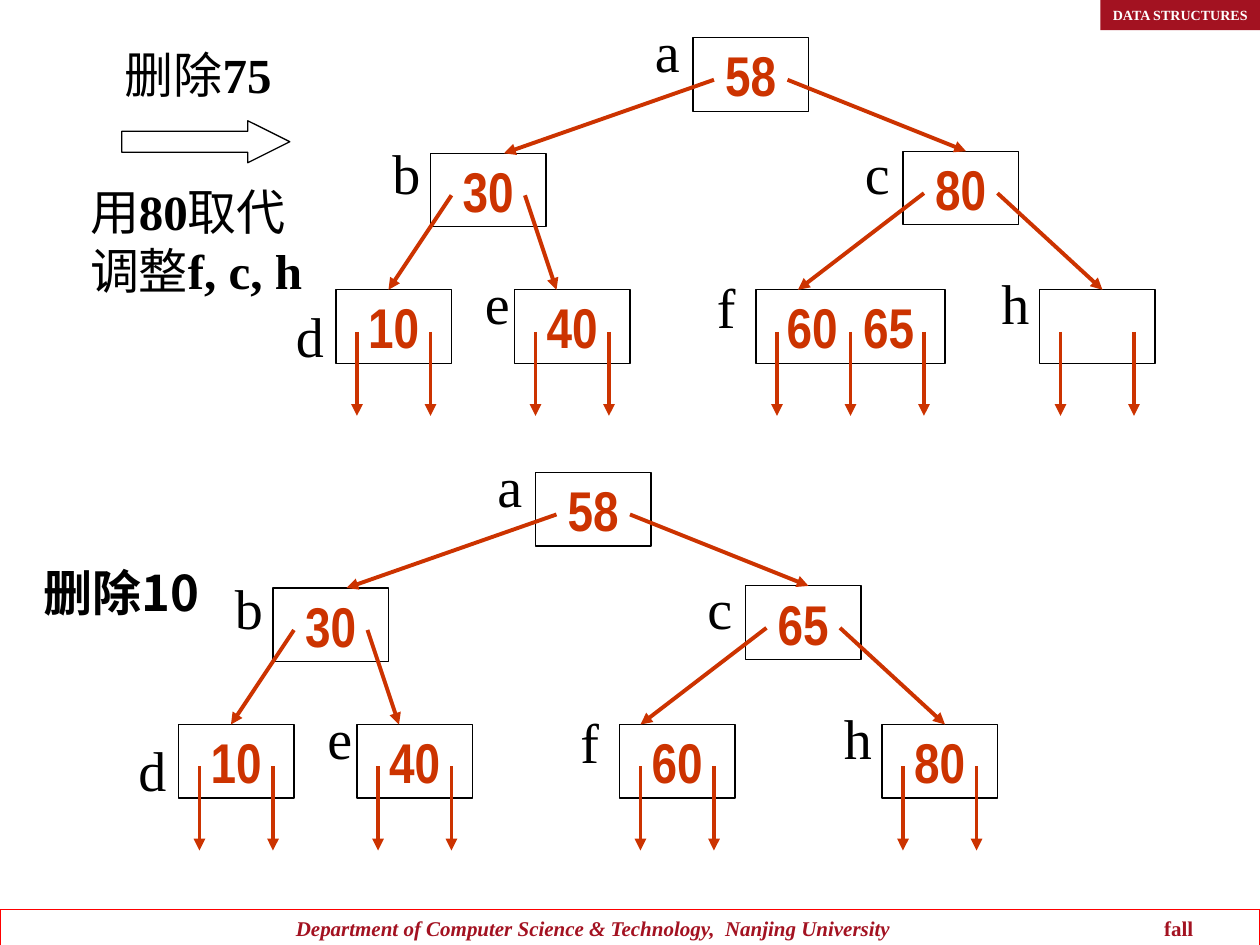
from lxml import etree
from pptx import Presentation
from pptx.dml.color import RGBColor
from pptx.enum.dml import MSO_LINE
from pptx.enum.shapes import MSO_CONNECTOR, MSO_SHAPE
from pptx.enum.text import MSO_ANCHOR, PP_ALIGN
from pptx.oxml.ns import qn
from pptx.util import Inches, Pt

RECT, BLOCK = MSO_SHAPE.RECTANGLE, MSO_SHAPE.RIGHT_ARROW
LINE, DOTS = MSO_CONNECTOR.STRAIGHT, MSO_LINE.ROUND_DOT
CENTER, LEFT = PP_ALIGN.CENTER, PP_ALIGN.LEFT
MIDDLE, TOP = MSO_ANCHOR.MIDDLE, MSO_ANCHOR.TOP

BLACK = RGBColor(0x00, 0x00, 0x00)
WHITE = RGBColor(0xFF, 0xFF, 0xFF)
RED = RGBColor(0xFF, 0x00, 0x00)
WINE = RGBColor(0xA3, 0x12, 0x21)
RUST = RGBColor(0xCC, 0x33, 0x00)
SERIF, NARROW, SANS = "Times New Roman", "Arial Narrow", "Noto Sans CJK SC"

deck = Presentation()
deck.slide_width, deck.slide_height = Inches(10), Inches(7.5)
slide = deck.slides.add_slide(deck.slide_layouts[6])
UNIT = deck.slide_width / 120  # the grid has 120 columns and 90 rows


def grid(*cells):
    return [round(cell * UNIT) for cell in cells]


def write(shape, rows, font, size, color, align=LEFT, anchor=TOP):
    """Fill a shape with rows of (text, bold, italic) runs."""
    frame = shape.text_frame
    frame.word_wrap, frame.vertical_anchor = False, anchor
    for i, row in enumerate(rows):
        para = frame.add_paragraph() if i else frame.paragraphs[0]
        para.alignment = align
        for text, bold, italic in row:
            run = para.add_run()
            run.text = text
            run.font.name, run.font.size = font, Pt(size)
            run.font.bold, run.font.italic = bold, italic
            run.font.color.rgb = color


# Footer and header bands
foot = slide.shapes.add_shape(RECT, *grid(0, 86.6, 120, 3.6))
foot.shadow.inherit = False
foot.fill.background()
foot.line.color.rgb, foot.line.width = RED, Pt(0.75)
write(foot, [[("\tDepartment of Computer Science & Technology,  Nanjing University", True, True),
              ("\tfall", True, False)]], SERIF, 12, WINE)
foot.text_frame.word_wrap = True
tabs = etree.SubElement(foot.text_frame.paragraphs[0]._p.get_or_add_pPr(), qn("a:tabLst"))
for stop in grid(27, 109.7):
    etree.SubElement(tabs, qn("a:tab"), pos=str(stop), algn="l")

head = slide.shapes.add_shape(RECT, *grid(104.8, 0, 15.2, 2.88))
head.shadow.inherit = False
head.fill.solid()
head.fill.fore_color.rgb = WINE
head.line.fill.background()
write(head, [[("DATA STRUCTURES", True, False)]], SERIF, 8, WHITE)

# Tree nodes: name -> left, top, label shift, column of the arrow from the parent
WIDE, HIGH = 11, 7
NODES = {
    "a": (66, 3.6, -4.8, -2.6, None),
    "b": (41, 14.6, -4.8, -2, 48),
    "c": (86, 14.4, -4.8, -1.8, 92),
    "d": (32, 27.6, -5, 0.5, 37),
    "e": (49, 27.6, -4, -2.6, 53),
    "f": (72, 27.6, -4.9, -2.2, 76),
    "h": (99, 27.6, -4.8, -2.6, 105),
}
KIDS = {"a": "bc", "b": "de", "c": "fh"}
TREES = [
    (0, 0, {"a": "58", "b": "30", "c": "80", "d": "10", "e": "40", "f": "60  65", "h": ""}),
    (-15, 41.4, {"a": "58", "b": "30", "c": "65", "d": "10", "e": "40", "f": "60", "h": "80"}),
]

groups = []
for dx, dy, keys in TREES:
    group = slide.shapes.add_group_shape().shapes
    groups.append(group)
    arrows = []
    for name, (x, y, lx, ly, tip) in NODES.items():
        count = max(1, len(keys[name].split()))
        wide = WIDE + 7 * (count - 1)
        if name == "f" and count == 1:
            x += 2
        x, y = x + dx, y + dy
        box = group.add_shape(RECT, *grid(x, y, wide, HIGH))
        box.shadow.inherit = False
        box.fill.background()
        box.line.color.rgb, box.line.width = BLACK, Pt(0.75)
        if keys[name]:
            write(box, [[(keys[name], True, False)]], NARROW, 32, RUST, CENTER, MIDDLE)
        label = group.add_textbox(*grid(x + lx, y + ly, 4.2 if name == "f" else 5, 7.7))
        write(label, [[(name, False, False)]], SERIF, 32, BLACK)
        for slot in range(count + 1):
            col, row = x + 2 + 7 * slot, y + 4
            if name in KIDS:
                kid = NODES[KIDS[name][slot]]
                arrows.append((col, row, kid[4] + dx, kid[1] + dy))
            else:
                arrows.append((col, row, col, row + 8))
    for ends in arrows:
        arrow = group.add_connector(LINE, *grid(*ends))
        arrow.line.color.rgb, arrow.line.width = RUST, Pt(2.25)
        etree.SubElement(arrow.line._get_or_add_ln(), qn("a:tailEnd"), type="triangle")
        etree.SubElement(arrow._element.spPr, qn("a:effectLst"))

# Step from the first deletion
block = groups[0].add_shape(BLOCK, *grid(11.6, 11.5, 16, 4))
block.adjustments[1] = 1
block.shadow.inherit = False
block.fill.background()
block.line.color.rgb, block.line.width = BLACK, Pt(0.75)

# Dotted curve from f to h: a start, then three points for each Bezier piece
CURVE = [(7.5, 2.22), (7.52, 2.19), (7.54, 2.17), (7.58, 2.14),
         (7.62, 2.11), (7.69, 2.07), (7.75, 2.05), (7.8, 2.04), (7.86, 2.04), (7.92, 2.05),
         (7.97, 2.07), (8.03, 2.1), (8.08, 2.14), (8.14, 2.18), (8.22, 2.28), (8.25, 2.3)]
pen = groups[0].build_freeform(*CURVE[0], scale=Inches(1))
pen.add_line_segments(CURVE[1:], close=False)
move = pen.convert_to_shape()
move.shadow.inherit = False
move.fill.background()
move.line.color.rgb, move.line.width = BLACK, Pt(3)
move.line.dash_style = DOTS
etree.SubElement(move.line._get_or_add_ln(), qn("a:tailEnd"), type="triangle")
steps = list(move._element.iter(qn("a:lnTo")))
for i in range(0, len(steps), 3):
    bend = etree.SubElement(steps[i].getparent(), qn("a:cubicBezTo"))
    for step in steps[i:i + 3]:
        bend.append(step[0])
        step.getparent().remove(step)

# Captions
NOTES = [
    (groups[0], (10.7, 3.6, 17.5, 6.9), SERIF, [[("删除", False, False), ("75", True, False)]]),
    (groups[0], (7.4, 16.7, 23.6, 12.5), SERIF,
     [[("用", False, False), ("80", True, False), ("取代", False, False)],
      [("调整", False, False), ("f, c, h", True, False)]]),
    (slide.shapes, (3, 53, 18.5, 6.9), SANS, [[("删除10", True, False)]]),
]
for home, place, font, rows in NOTES:
    write(home.add_textbox(*grid(*place)), rows, font, 28, BLACK)

deck.save("out.pptx")
